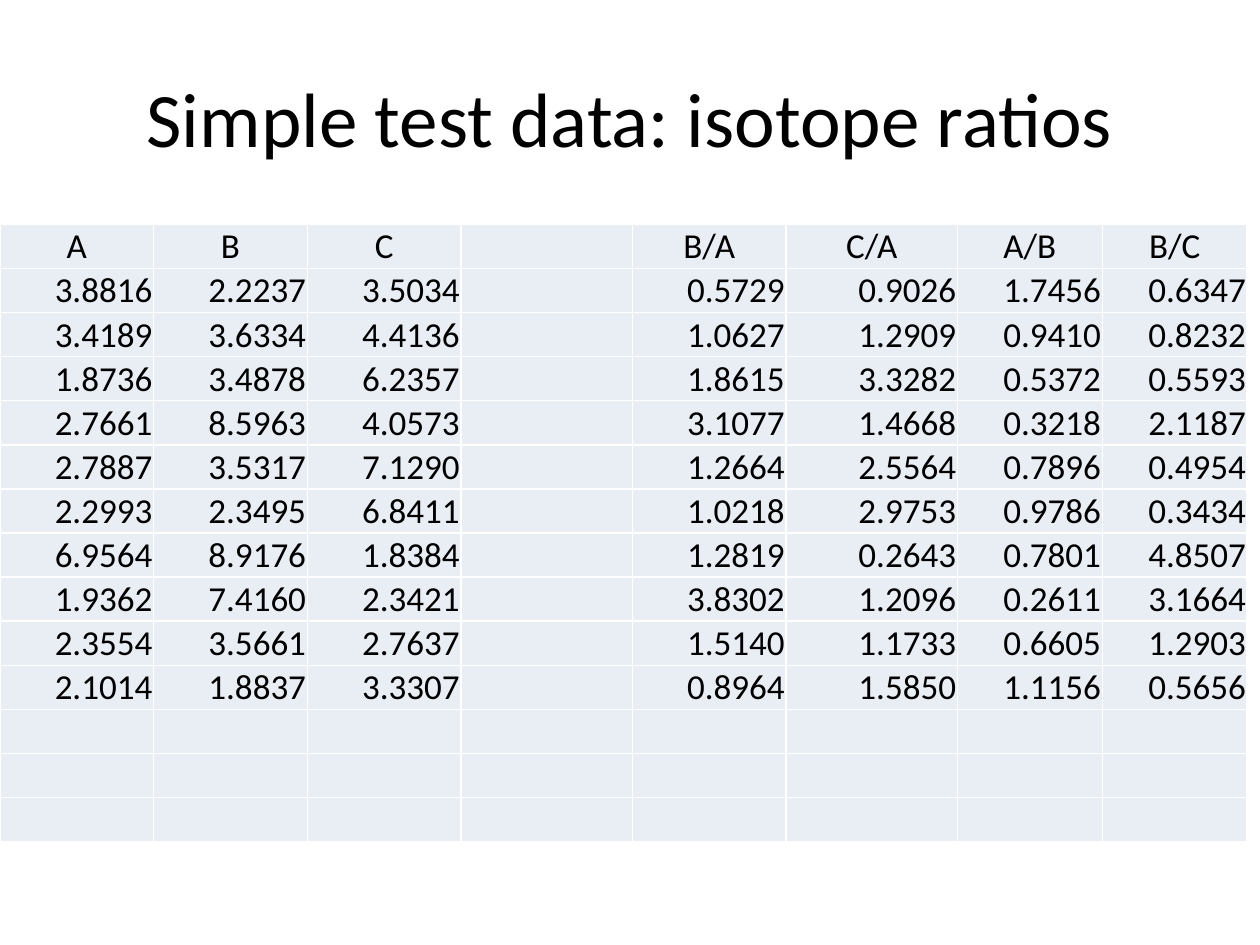
from dataclasses import dataclass

from lxml.etree import SubElement
from pptx import Presentation
from pptx.dml.color import RGBColor
from pptx.enum.text import MSO_ANCHOR as Anchor, PP_ALIGN as Align
from pptx.oxml.ns import qn
from pptx.util import Inches, Pt

TITLE = "Simple test data: isotope ratios"
HEADERS = ("A", "B", "C", "", "B/A", "C/A", "A/B", "B/C")
MEASUREMENTS = [
    ("3.8816", "2.2237", "3.5034", "", "0.5729", "0.9026", "1.7456", "0.6347"),
    ("3.4189", "3.6334", "4.4136", "", "1.0627", "1.2909", "0.9410", "0.8232"),
    ("1.8736", "3.4878", "6.2357", "", "1.8615", "3.3282", "0.5372", "0.5593"),
    ("2.7661", "8.5963", "4.0573", "", "3.1077", "1.4668", "0.3218", "2.1187"),
    ("2.7887", "3.5317", "7.1290", "", "1.2664", "2.5564", "0.7896", "0.4954"),
    ("2.2993", "2.3495", "6.8411", "", "1.0218", "2.9753", "0.9786", "0.3434"),
    ("6.9564", "8.9176", "1.8384", "", "1.2819", "0.2643", "0.7801", "4.8507"),
    ("1.9362", "7.4160", "2.3421", "", "3.8302", "1.2096", "0.2611", "3.1664"),
    ("2.3554", "3.5661", "2.7637", "", "1.5140", "1.1733", "0.6605", "1.2903"),
    ("2.1014", "1.8837", "3.3307", "", "0.8964", "1.5850", "1.1156", "0.5656"),
]
SPARE_ROWS = 3
COLUMN_WIDTHS = (1.22, 1.22, 1.22, 1.36, 1.22, 1.36, 1.15, 1.15)
ROW_HEIGHT = 0.35
TABLE_TOP = 1.78
SLIDE_WIDTH, SLIDE_HEIGHT = 10, 7.5


@dataclass(frozen=True)
class Theme:
    font: str = "Calibri"
    title_size: int = 44
    cell_size: int = 20
    ink: str = "000000"
    cell_fill: str = "E9EDF4"
    border: str = "FFFFFF"
    border_width: int = 1


THEME = Theme()


def style_paragraph(paragraph, size, alignment):
    paragraph.alignment = alignment
    paragraph.font.name = THEME.font
    paragraph.font.size = Pt(size)
    paragraph.font.color.rgb = RGBColor.from_string(THEME.ink)


def add_borders(cell):
    properties = cell._tc.get_or_add_tcPr()
    for side in ("a:lnL", "a:lnR", "a:lnT", "a:lnB"):
        line = SubElement(properties, qn(side), w=str(Pt(THEME.border_width)))
        fill = SubElement(line, qn("a:solidFill"))
        SubElement(fill, qn("a:srgbClr"), val=THEME.border)


def fill_cell(cell, text, alignment):
    add_borders(cell)
    cell.fill.solid()
    cell.fill.fore_color.rgb = RGBColor.from_string(THEME.cell_fill)
    cell.margin_left = cell.margin_right = cell.margin_top = Inches(0.01)
    cell.margin_bottom = 0
    cell.vertical_anchor = Anchor.BOTTOM
    cell.text = text
    style_paragraph(cell.text_frame.paragraphs[0], THEME.cell_size, alignment)


def add_title(slide):
    margin = SLIDE_WIDTH * 0.05
    box = slide.shapes.add_textbox(
        Inches(margin), Inches(SLIDE_HEIGHT * 0.04),
        Inches(SLIDE_WIDTH - 2 * margin), Inches(1.25))
    frame = box.text_frame
    frame.word_wrap = True
    frame.vertical_anchor = Anchor.MIDDLE
    frame.text = TITLE
    style_paragraph(frame.paragraphs[0], THEME.title_size, Align.CENTER)


def add_data_table(slide):
    rows = [HEADERS, *MEASUREMENTS, *[("",) * len(HEADERS)] * SPARE_ROWS]
    table = slide.shapes.add_table(
        len(rows), len(HEADERS), 0, Inches(TABLE_TOP),
        Inches(sum(COLUMN_WIDTHS)), Inches(ROW_HEIGHT * len(rows))).table
    table.first_row = table.horz_banding = False
    for column, width in zip(table.columns, COLUMN_WIDTHS):
        column.width = Inches(width)
    for row_index, values in enumerate(rows):
        table.rows[row_index].height = Inches(ROW_HEIGHT)
        alignment = Align.RIGHT if row_index else Align.CENTER
        for column_index, value in enumerate(values):
            fill_cell(table.cell(row_index, column_index), value, alignment)


def main():
    presentation = Presentation()
    presentation.slide_width = Inches(SLIDE_WIDTH)
    presentation.slide_height = Inches(SLIDE_HEIGHT)
    slide = presentation.slides.add_slide(presentation.slide_layouts[6])
    add_title(slide)
    add_data_table(slide)
    presentation.save("out.pptx")


if __name__ == "__main__":
    main()
